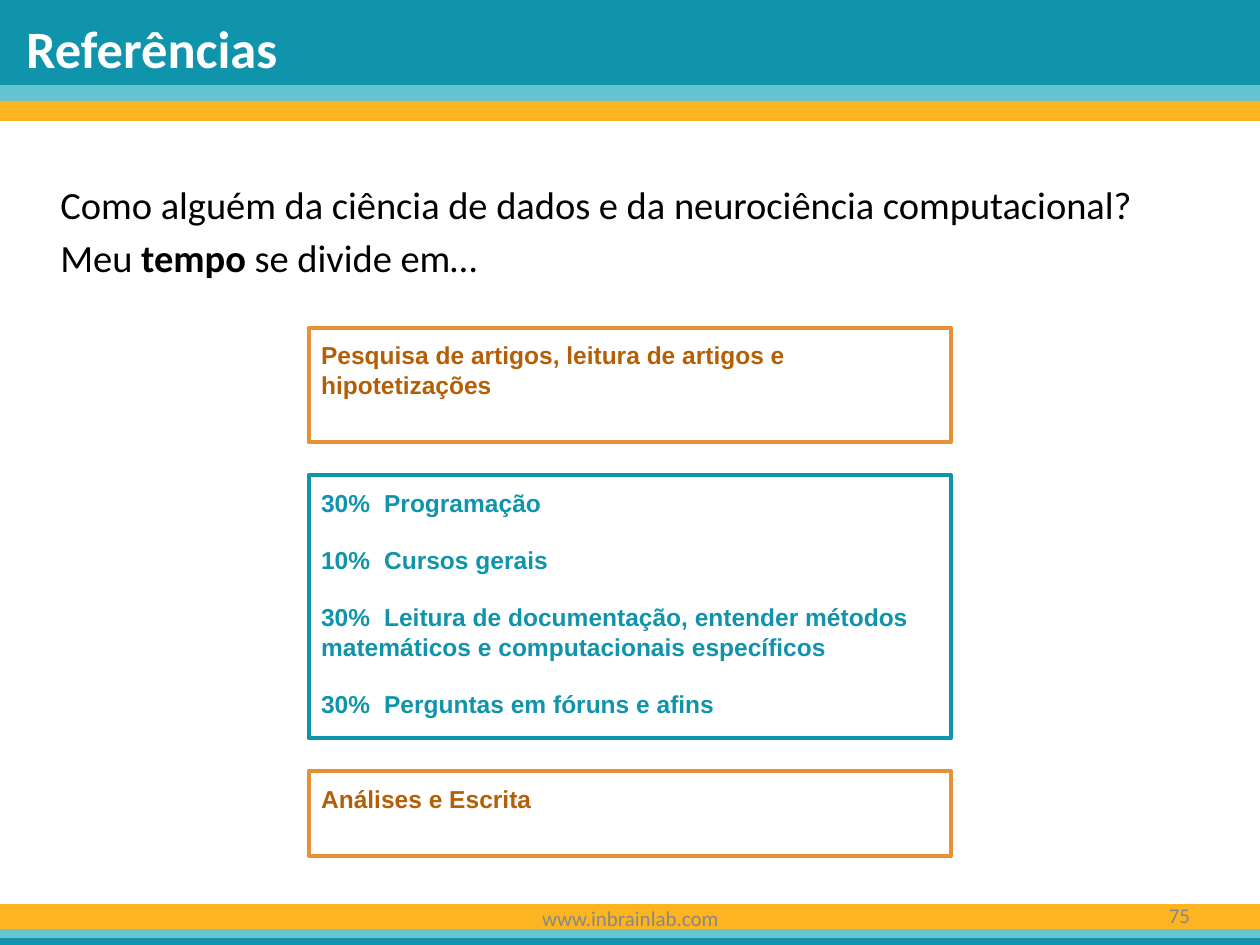
"""Build the "Referências" slide on how working time is divided."""
from lxml.etree import SubElement
from pptx import Presentation
from pptx.dml.color import RGBColor
from pptx.enum.shapes import MSO_SHAPE
from pptx.enum.text import MSO_ANCHOR, PP_ALIGN
from pptx.oxml.ns import qn
from pptx.util import Pt

HUES = {"teal": "1094AB", "aqua": "64C4D2", "gold": "FCB421", "edge": "E69138",
        "brown": "B45F06", "gray": "888888", "white": "FFFFFF", "black": "000000"}


def hue(name):
    return RGBColor.from_string(HUES[name])


def write(shape, paras, tone, font, form, pad=3.6, anchor=MSO_ANCHOR.TOP):
    frame = shape.text_frame
    for key, value in {"word_wrap": True, "vertical_anchor": anchor,
                       "margin_left": Pt(7.2), "margin_right": Pt(7.2),
                       "margin_top": Pt(pad), "margin_bottom": Pt(pad)}.items():
        setattr(frame, key, value)
    for i, runs in enumerate(paras):
        para = frame.add_paragraph() if i else frame.paragraphs[0]
        if "\t" in runs[0][0]:
            tabs = SubElement(para._p.get_or_add_pPr(), qn("a:tabLst"))
            SubElement(tabs, qn("a:tab"), pos=str(Pt(36)), algn="l")
        for key, value in form.items():
            setattr(para, key, value)
        if i:
            para.space_before = Pt(16)
        for text, bold in runs:
            run = para.add_run()
            run.text = text
            for key, value in {**font, "bold": bold}.items():
                setattr(run.font, key, value)
            run.font.color.rgb = hue(tone)


deck = Presentation()
deck.slide_width, deck.slide_height = Pt(720), Pt(540)
slide = deck.slides.add_slide(deck.slide_layouts[6])
shapes = slide.shapes

bars = [("teal", 535.5, 5.5), ("aqua", 530.5, 5.5), ("gold", 516.6, 14.4),
        ("teal", -0.7, 49.7), ("aqua", 48.8, 10), ("gold", 57.6, 11.5)]
for tone, top, high in bars:
    bar = shapes.add_shape(MSO_SHAPE.RECTANGLE, 0, Pt(top), Pt(720), Pt(high))
    bar.shadow.inherit = False
    bar.fill.solid()
    bar.fill.fore_color.rgb = hue(tone)
    bar.line.fill.background()

small = {"name": "Calibri", "size": Pt(12)}
left = {"alignment": PP_ALIGN.LEFT}
lead = [("Como alguém da ciência de dados e da neurociência computacional? Meu ", False),
        ("tempo", True), (" se divide em…", False)]
notes = [
    ((246.2, 510.5, 228.2, 28.8), [[("www.inbrainlab.com", False)]], "gray", small,
     {"alignment": PP_ALIGN.CENTER}, 3.6, MSO_ANCHOR.MIDDLE),
    ((519.1, 508.3, 168, 28.8), [[("75", False)]], "gray", small,
     {"alignment": PP_ALIGN.RIGHT}, 3.6, MSO_ANCHOR.MIDDLE),
    ((7.9, 9.4, 595.4, 49), [[("Referências", True)]], "white",
     {"name": "Calibri", "size": Pt(30)}, {**left, "line_spacing": 0.9}),
    ((27.4, 92.2, 651.6, 72), [lead], "black", {"name": "Calibri", "size": Pt(22)},
     {**left, "line_spacing": 1.15, "space_after": Pt(12)}, 7.2),
]
for place, *rest in notes:
    write(shapes.add_textbox(*map(Pt, place)), *rest)

tasks = [
    (187.2, 65.5, "edge", "brown",
     ["Pesquisa de artigos, leitura de artigos e hipotetizações"]),
    (271.4, 150.5, "teal", "teal",
     ["30%\tProgramação", "10%\tCursos gerais",
      "30%\tLeitura de documentação, entender métodos matemáticos "
      "e computacionais específicos",
      "30%\tPerguntas em fóruns e afins"]),
    (440.6, 48.5, "edge", "brown", ["Análises e Escrita"]),
]
for top, high, edge, tone, lines in tasks:
    box = shapes.add_shape(MSO_SHAPE.RECTANGLE, Pt(176.4), Pt(top), Pt(366.9), Pt(high))
    box.shadow.inherit = False
    box.fill.background()
    box.line.color.rgb = hue(edge)
    box.line.width = Pt(2.25)
    write(box, [[(line, True)] for line in lines], tone,
          {"name": "Arial", "size": Pt(14)}, left, 7.2)

deck.save("out.pptx")
